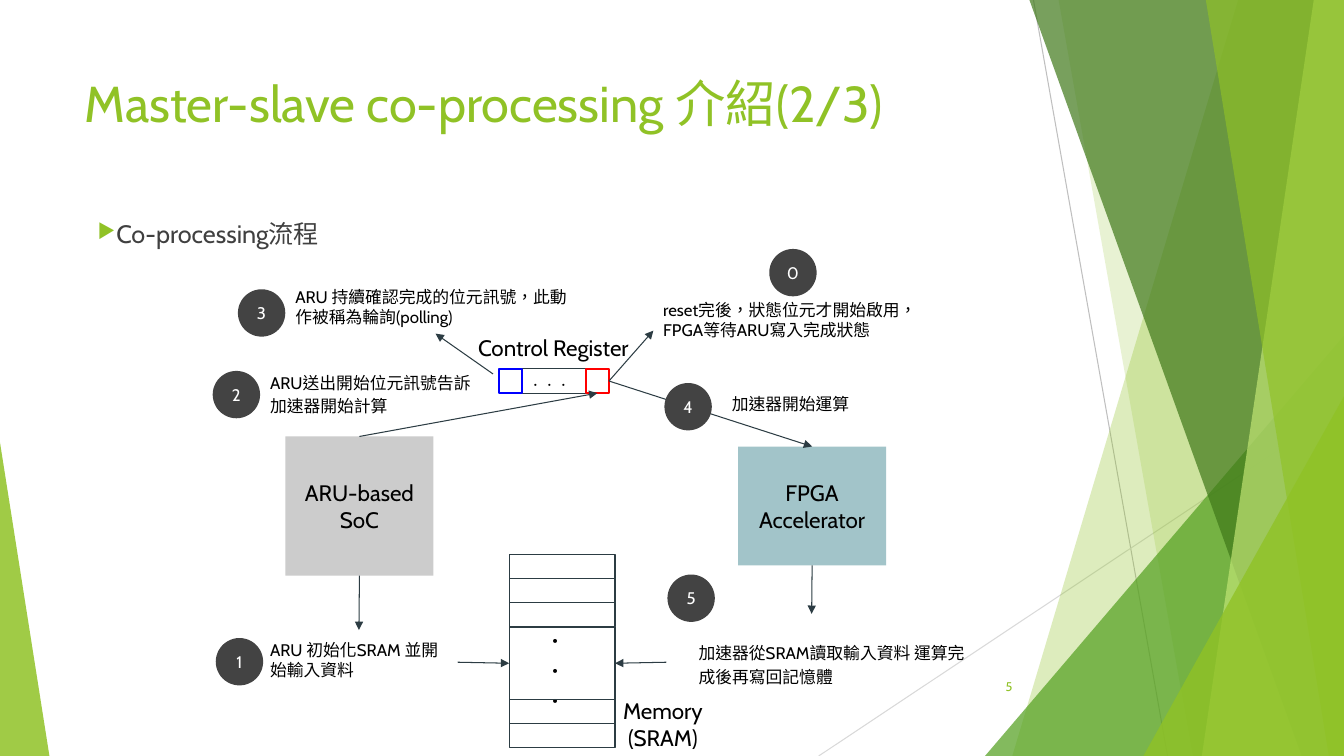
from dataclasses import dataclass
from lxml import etree
from pptx import Presentation
from pptx.dml.color import RGBColor
from pptx.enum.lang import MSO_LANGUAGE_ID
from pptx.enum.shapes import MSO_CONNECTOR, MSO_SHAPE
from pptx.enum.text import MSO_ANCHOR, PP_ALIGN
from pptx.oxml.ns import qn
from pptx.util import Inches, Pt

RECTANGLE, OVAL, TRIANGLE = MSO_SHAPE.RECTANGLE, MSO_SHAPE.OVAL, MSO_SHAPE.ISOSCELES_TRIANGLE
STRAIGHT = MSO_CONNECTOR.STRAIGHT
LEFT, CENTER, RIGHT = PP_ALIGN.LEFT, PP_ALIGN.CENTER, PP_ALIGN.RIGHT
UPPER, MIDDLE = MSO_ANCHOR.TOP, MSO_ANCHOR.MIDDLE
CHINESE = MSO_LANGUAGE_ID.TRADITIONAL_CHINESE
TOP_SIDE, LEFT_SIDE, BOTTOM_SIDE, RIGHT_SIDE = range(4)


@dataclass(frozen=True)
class Theme:
    font: str = "Cabin"
    green: str = "90C226"
    mid_green: str = "54A021"
    dark_green: str = "3F7819"
    pale_green: str = "C0E474"
    black: str = "000000"
    white: str = "FFFFFF"
    body_text: str = "404040"
    ink: str = "2C3C43"
    badge: str = "434343"
    soc: str = "CCCCCC"
    fpga: str = "A2C4C9"
    start_bit: str = "0000FF"
    done_bit: str = "FF0000"
    title_size: int = 36
    body_size: int = 18
    label_size: int = 16
    note_size: int = 12
    bits_size: int = 10
    number_size: int = 9


theme = Theme()
GRID = Inches(1)  # side of one grid cell
COLUMNS, ROWS = 13.33, 7.5

deck = Presentation()
deck.slide_width, deck.slide_height = int(COLUMNS * GRID), int(ROWS * GRID)
page = deck.slides.add_slide(deck.slide_layouts[6])


def place(kind, area, lines=(), size=theme.note_size, color=theme.black, align=LEFT,
          anchor=UPPER, fill=None, line=None, weight=0.75, spacing=None, margin=0.1):
    """Put a shape, or a text box when kind is None, on the grid."""
    cells = [int(length * GRID) for length in area]
    if kind is None:
        box = page.shapes.add_textbox(*cells)
    else:
        box = page.shapes.add_shape(kind, *cells)
        box.shadow.inherit = False
        if fill:
            box.fill.solid()
            box.fill.fore_color.rgb = RGBColor.from_string(fill)
        else:
            box.fill.background()
        if line:
            box.line.color.rgb = RGBColor.from_string(line)
            box.line.width = Pt(weight)
        else:
            box.line.fill.background()
    frame = box.text_frame
    frame.word_wrap = True
    frame.vertical_anchor = anchor
    frame.margin_left = frame.margin_right = Inches(0.1)
    frame.margin_top = frame.margin_bottom = Inches(margin)
    for index, words in enumerate(lines):
        para = frame.add_paragraph() if index else frame.paragraphs[0]
        para.text = words
        para.alignment = align
        if spacing:
            para.line_spacing = spacing
        para.font.name = theme.font
        para.font.size = Pt(size)
        para.font.language_id = CHINESE
        para.font.color.rgb = RGBColor.from_string(color)
    return box


def link(start, end, color=theme.ink, arrow=True):
    """Draw a line between ends given as (column, row) or (shape, side)."""
    connector = page.shapes.add_connector(STRAIGHT, 0, 0, 0, 0)
    if isinstance(start[0], (int, float)):
        connector.begin_x, connector.begin_y = (int(length * GRID) for length in start)
    else:
        connector.begin_connect(*start)
    if isinstance(end[0], (int, float)):
        connector.end_x, connector.end_y = (int(length * GRID) for length in end)
    else:
        connector.end_connect(*end)
    connector.line.color.rgb = RGBColor.from_string(color)
    connector.line.width = Pt(0.75)
    if arrow:
        etree.SubElement(connector.line._get_or_add_ln(), qn("a:tailEnd"), type="triangle")
    etree.SubElement(connector._element.spPr, qn("a:effectLst"))


# Background: thin lines, then see-through facets
link((10.25, 0), (11.58, ROWS), "BFBFBF", arrow=False)
link((COLUMNS, 4.03), (8.12, ROWS), "D9D9D9", arrow=False)

# Bands give their left edge (top, bottom); wedges give left, top, width, apex
facets = [
    (theme.green, 30, (12.28, 10.04)),
    (theme.green, 20, (10.5, 11.83)),
    (theme.mid_green, 72, (9.77, 3.33, 3.56, 1)),
    (theme.dark_green, 70, (10.21, 12.91)),
    (theme.pale_green, 70, (13.03, 11.92)),
    (theme.green, 65, (11.96, 13.18)),
    (theme.green, 80, (11.34, 3.93, 1.99, 1)),
    (theme.green, 85, (0, 4.39, 0.49, 0)),
]
for color, opacity, outline in facets:
    if len(outline) == 2:
        upper, lower = (int(column * GRID) for column in outline)
        builder = page.shapes.build_freeform(upper, 0)
        builder.add_line_segments([(deck.slide_width, 0),
                                   (deck.slide_width, deck.slide_height),
                                   (lower, deck.slide_height)])
        facet = builder.convert_to_shape()
        facet.shadow.inherit = False
        facet.line.fill.background()
        facet.fill.solid()
        facet.fill.fore_color.rgb = RGBColor.from_string(color)
    else:
        left, top, width, apex = outline
        facet = place(TRIANGLE, (left, top, width, ROWS - top), fill=color)
        facet.adjustments[0] = apex
    tint = facet._element.spPr.find(qn("a:solidFill"))[0]
    etree.SubElement(tint, qn("a:alpha"), val=str(opacity * 1000))

# Title, bullet line and page number
place(None, (0.74, 0.67, 9.4, 1.44), ["Master-slave co-processing 介紹(2/3)"],
      theme.title_size, theme.green, margin=0.05)
body = place(None, (0.87, 2.12, 9.4, 0.98), ["Co-processing流程"],
             theme.body_size, theme.body_text, margin=0.05)
bullet_para = body.text_frame.paragraphs[0]
bullet_para.space_before = Pt(4.8)
settings = bullet_para._p.get_or_add_pPr()
settings.set("marL", str(Inches(0.12)))
settings.set("indent", str(-Inches(0.12)))
bullet_color = etree.Element(qn("a:buClr"))
etree.SubElement(bullet_color, qn("a:srgbClr"), val=theme.green)
bullet_size = etree.Element(qn("a:buSzPct"), val="80000")
bullet = etree.Element(qn("a:buChar"), char="▶")
for part in (bullet_color, bullet_size, bullet):
    settings.find(qn("a:defRPr")).addprevious(part)
place(None, (9.39, 6.61, 0.75, 0.4), ["5"], theme.number_size, theme.green, RIGHT, MIDDLE,
      margin=0.05)

# Control register
place(None, (4.51, 3.21, 1.96, 0.32), ["Control Register"], theme.label_size, align=CENTER)
place(RECTANGLE, (5.18, 3.66, 0.63, 0.24), ["．．．"], theme.bits_size, anchor=MIDDLE,
      line=theme.ink)
place(RECTANGLE, (4.95, 3.66, 0.23, 0.24), line=theme.start_bit, weight=1.5)
done_bit = place(RECTANGLE, (5.81, 3.66, 0.23, 0.24), line=theme.done_bit, weight=1.5)

# Memory: stacked cells, the tall one standing for the rest
place(None, (5.84, 6.82, 1.47, 0.68), ["Memory (SRAM)"], theme.label_size, align=CENTER)
cell_top, cell_height = 5.5, 0.24
for span in (1, 1, 1, 3, 1, 1):
    dots = ["．"] * 3 if span > 1 else []
    cell = place(RECTANGLE, (5.05, cell_top, 1.05, span * cell_height), dots,
                 theme.body_size, align=CENTER, anchor=MIDDLE, line=theme.ink)
    if dots:
        memory = cell
    cell_top += span * cell_height

# Processors
soc = place(RECTANGLE, (2.83, 4.33, 1.47, 1.38), ["ARU-based", "SoC"], theme.label_size,
            align=CENTER, anchor=MIDDLE, fill=theme.soc)
fpga = place(RECTANGLE, (7.32, 4.43, 1.47, 1.18), ["FPGA", "Accelerator"], theme.label_size,
             align=CENTER, anchor=MIDDLE, fill=theme.fpga)

# Notes, in step order
notes = [
    ((6.48, 2.87, 2.77, 0.82), "reset完後，狀態位元才開始啟用，FPGA等待ARU寫入完成狀態", None),
    ((2.58, 6.25, 1.96, 0.64), "ARU 初始化SRAM 並開始輸入資料", None),
    ((2.58, 3.57, 2.33, 0.64), "ARU送出開始位元訊號告訴加速器開始計算", 1.15),
    ((2.83, 2.74, 2.98, 0.57), "ARU 持續確認完成的位元訊號，此動作被稱為輪詢(polling)", None),
    ((7.16, 3.81, 1.57, 0.46), "加速器開始運算", None),
    ((6.83, 6.25, 2.87, 0.97), "加速器從SRAM讀取輸入資料 運算完成後再寫回記憶體", 1.15),
]
steps = [place(None, area, [words], spacing=spacing) for area, words, spacing in notes]

# Arrows
link((done_bit, RIGHT_SIDE), (fpga, TOP_SIDE))
link((done_bit, RIGHT_SIDE), (steps[0], LEFT_SIDE))
link((soc, TOP_SIDE), (done_bit, BOTTOM_SIDE))
link((soc, BOTTOM_SIDE), (steps[1], TOP_SIDE))
link((steps[1], RIGHT_SIDE), (memory, LEFT_SIDE))
link((4.89, 3.71), (steps[3], BOTTOM_SIDE))
link((fpga, BOTTOM_SIDE), (8.05, 6.09))
link((6.61, 6.57), (memory, RIGHT_SIDE))

# Step badges, in step order
badges = [(7.63, 2.47), (2.14, 6.33), (2.11, 3.68), (2.36, 2.87), (6.59, 3.8), (6.62, 5.7)]
for step, (left, top) in enumerate(badges):
    place(OVAL, (left, top, 0.47, 0.47), [str(step)], color=theme.white, align=CENTER,
          anchor=MIDDLE, fill=theme.badge)

deck.save("out.pptx")
